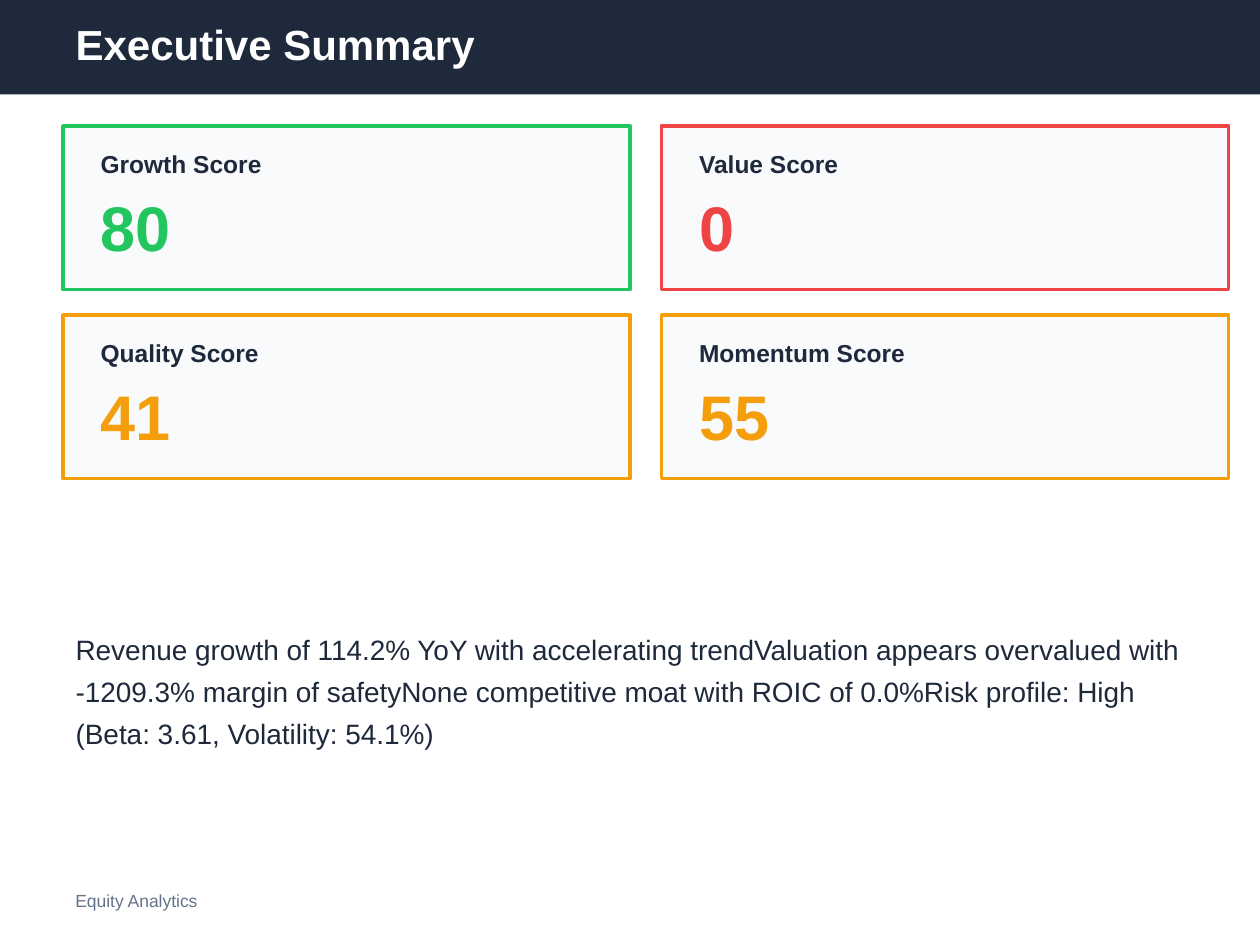
from dataclasses import dataclass

from lxml.etree import SubElement
from pptx import Presentation
from pptx.dml.color import RGBColor
from pptx.enum.shapes import MSO_SHAPE
from pptx.enum.text import MSO_ANCHOR, MSO_AUTO_SIZE, PP_ALIGN
from pptx.oxml.ns import qn
from pptx.shapes.autoshape import Shape
from pptx.slide import Slide
from pptx.util import Inches, Pt


@dataclass(frozen=True)
class Theme:
    """Colours, type sizes and font of the slide."""

    font: str = "Arial"
    ink: str = "1E293B"
    white: str = "FFFFFF"
    panel: str = "F8FAFC"
    muted: str = "64748B"
    good: str = "22C55E"
    bad: str = "EF4444"
    fair: str = "F59E0B"
    title: int = 24
    score: int = 36
    body: int = 16
    lead: int = 24
    label: int = 14
    foot: int = 10
    edge: int = 2


@dataclass(frozen=True)
class Box:
    """Place and size in inches."""

    left: float
    top: float
    width: float
    height: float

    def args(self) -> tuple:
        """Return the four lengths."""
        return tuple(map(Inches, (self.left, self.top, self.width, self.height)))


@dataclass(frozen=True)
class Card:
    """One score with its label and colour."""

    label: str
    score: int
    color: str


THEME = Theme()
CARDS = (
    Card("Growth Score", 80, THEME.good),
    Card("Value Score", 0, THEME.bad),
    Card("Quality Score", 41, THEME.fair),
    Card("Momentum Score", 55, THEME.fair),
)
SUMMARY = (
    "Revenue growth of 114.2% YoY with accelerating trend"
    "Valuation appears overvalued with -1209.3% margin of safety"
    "None competitive moat with ROIC of 0.0%"
    "Risk profile: High (Beta: 3.61, Volatility: 54.1%)"
)


def write(shape: Shape, text: str, size: int, color: str, bold: bool = False,
          lead: int = 0) -> None:
    """Fill a shape with one left-aligned paragraph, unbulleted if led."""
    frame = shape.text_frame
    frame.text = text
    frame.word_wrap = True
    frame.auto_size = MSO_AUTO_SIZE.NONE
    frame.vertical_anchor = MSO_ANCHOR.MIDDLE
    line = frame.paragraphs[0]
    line.alignment = PP_ALIGN.LEFT
    if lead:
        props = line._p.get_or_add_pPr()
        props.set("marL", "0")
        props.set("indent", "0")
        SubElement(props, qn("a:buNone"))
        line.space_before = Pt(0)
        line.line_spacing = Pt(lead)
    font = line.font
    font.name, font.size, font.bold = THEME.font, Pt(size), bold
    font.color.rgb = RGBColor.from_string(color)


def place(shape: Shape, box: Box) -> None:
    """Move and size a placeholder."""
    shape.left, shape.top, shape.width, shape.height = box.args()


def add_text(slide: Slide, box: Box, text: str, size: int, color: str,
             bold: bool = False) -> None:
    """Add a styled text box."""
    write(slide.shapes.add_textbox(*box.args()), text, size, color, bold)


def add_panel(slide: Slide, box: Box, fill: str, edge: str = "") -> Shape:
    """Add a flat rectangle with an optional outline."""
    panel = slide.shapes.add_shape(MSO_SHAPE.RECTANGLE, *box.args())
    panel.shadow.inherit = False
    panel.fill.solid()
    panel.fill.fore_color.rgb = RGBColor.from_string(fill)
    if edge:
        panel.line.color.rgb = RGBColor.from_string(edge)
        panel.line.width = Pt(THEME.edge)
    else:
        panel.line.fill.background()
    return panel


def add_card(slide: Slide, card: Card, left: float, top: float) -> None:
    """Add a score card at a grid point."""
    add_panel(slide, Box(left, top, 4.5, 1.3), THEME.panel, card.color)
    add_text(slide, Box(left + 0.2, top + 0.1, 4.1, 0.4), card.label,
             THEME.label, THEME.ink, True)
    add_text(slide, Box(left + 0.2, top + 0.5, 4.1, 0.6), str(card.score),
             THEME.score, card.color, True)


def add_head(slide: Slide) -> None:
    """Set the title over its dark band."""
    title = slide.shapes.title
    place(title, Box(0.5, 0.1, 9, 0.5))
    write(title, "Executive Summary", THEME.title, THEME.white, True)
    band = add_panel(slide, Box(0, 0, 10, 0.75), THEME.ink)
    title.element.addprevious(band.element)


def add_body(slide: Slide) -> None:
    """Set the summary as plain body text."""
    body = slide.placeholders[1]
    place(body, Box(0.5, 4.2, 9, 2.5))
    write(body, SUMMARY, THEME.body, THEME.ink, lead=THEME.lead)


def main() -> None:
    """Build and save the slide."""
    deck = Presentation()
    deck.slide_width, deck.slide_height = Inches(10), Inches(7.5)
    slide = deck.slides.add_slide(deck.slide_layouts[1])
    add_head(slide)
    for spot, card in enumerate(CARDS):
        row, col = divmod(spot, 2)
        add_card(slide, card, 0.5 + 4.75 * col, 1 + 1.5 * row)
    add_body(slide)
    add_text(slide, Box(0.5, 7, 2, 0.3), "Equity Analytics", THEME.foot, THEME.muted)
    deck.save("out.pptx")


if __name__ == "__main__":
    main()
